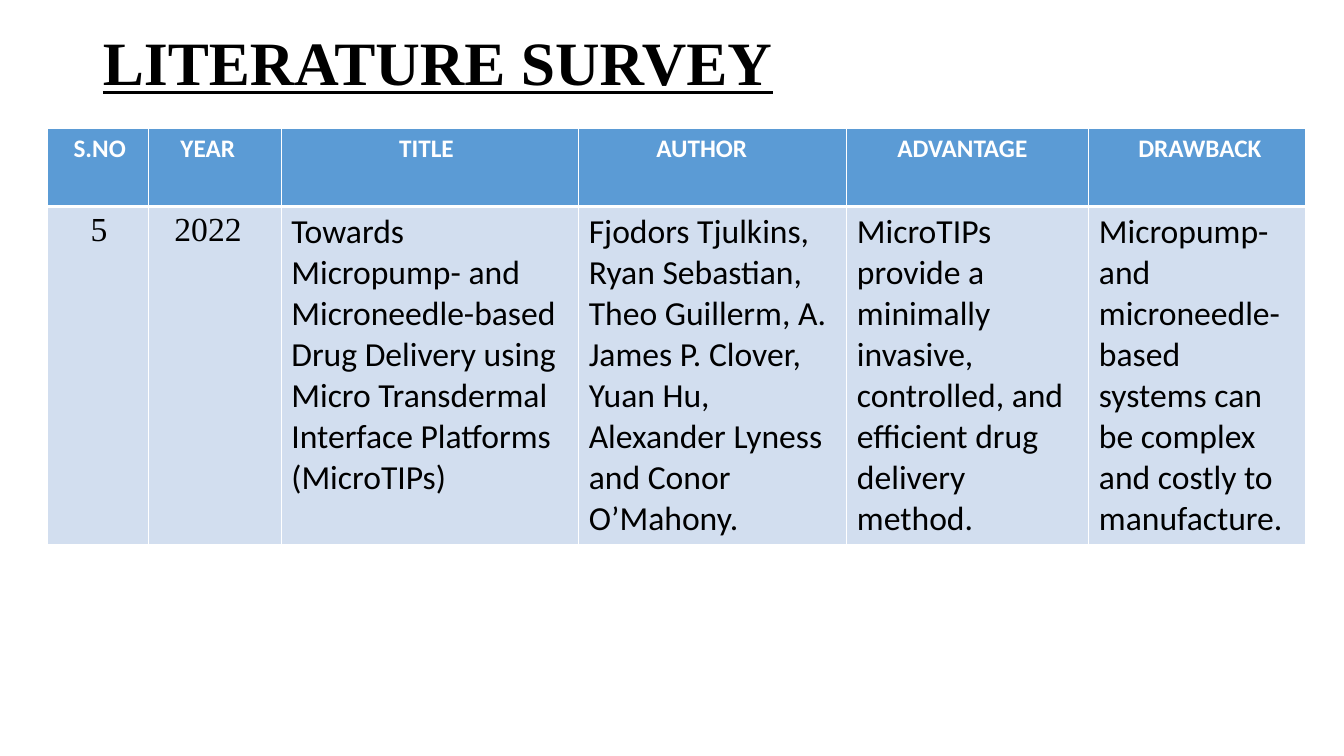
"""Build the literature survey slide: a title above a six-column table."""
from lxml import etree
from pptx import Presentation
from pptx.dml.color import RGBColor
from pptx.enum.text import MSO_ANCHOR, PP_ALIGN
from pptx.oxml.ns import qn
from pptx.util import Inches, Pt

LEFT, MIDDLE = PP_ALIGN.LEFT, MSO_ANCHOR.MIDDLE
HUES = {"ink": "000000", "paper": "FFFFFF", "head": "5B9BD5", "body": "D2DEEF"}
SERIF, SANS = "Times New Roman", "Calibri"
WIDE, HIGH = 13.33, 7.5
COLS = [1, 1.32, 2.95, 2.66, 2.4, 2.15]
ROWS = [0.78, 3.3]
EDGES = [
    {"lnL": 1, "lnR": 1, "lnT": 1, "lnB": 3},
    {"lnL": 1, "lnR": 1, "lnT": 3, "lnB": 1},
]
TEXTS = [
    ["S.NO", "YEAR", "TITLE", "AUTHOR", "ADVANTAGE", "DRAWBACK"],
    [
        "5",
        "2022",
        "Towards Micropump- and Microneedle-based Drug Delivery using "
        "Micro Transdermal Interface Platforms (MicroTIPs)",
        "Fjodors Tjulkins, Ryan Sebastian, Theo Guillerm, A. James P. Clover, "
        "Yuan Hu, Alexander Lyness and Conor O’Mahony.",
        "MicroTIPs provide a minimally invasive, controlled, and efficient "
        "drug delivery method.",
        "Micropump- and microneedle-based systems can be complex and costly "
        "to manufacture.",
    ],
]
INSETS = [
    [0.26, 0.32, 1.17, 0.77, 0.5, 0.49],
    [0.43, 0.26, 0.1, 0.1, 0.1, 0.1],
]
FORMS = [
    {"size": Pt(18), "bold": True, "name": SANS},
    {"size": Pt(24), "bold": False, "name": SANS},
]
FILLS, INKS = ["head", "body"], ["paper", "ink"]


def style(font, form, hue):
    """Apply the format values and a colour to a font."""
    for key, value in form.items():
        setattr(font, key, value)
    font.color.rgb = RGBColor.from_string(HUES[hue])


def edge(cell, sides):
    """Draw the white borders of a cell, widths in points."""
    props = cell._tc.get_or_add_tcPr()
    for side, width in sides.items():
        line = etree.SubElement(props, qn("a:" + side), w=str(Pt(width)))
        fill = etree.SubElement(line, qn("a:solidFill"))
        etree.SubElement(fill, qn("a:srgbClr"), val=HUES["paper"])


deck = Presentation()
deck.slide_width, deck.slide_height = Inches(WIDE), Inches(HIGH)
slide = deck.slides.add_slide(deck.slide_layouts[5])

title = slide.shapes.title
spot = {"left": 0.92, "top": 0.23, "width": 11.5, "height": 0.85}
for key, value in spot.items():
    setattr(title, key, Inches(value))
frame = title.text_frame
frame.text = "LITERATURE SURVEY"
frame.vertical_anchor = MIDDLE
para = frame.paragraphs[0]
para.alignment, para.line_spacing = LEFT, 0.9
bold = {"size": Pt(44), "bold": True, "underline": True, "name": SERIF}
style(para.runs[0].font, bold, "ink")

box = [Inches(n) for n in (0.47, 1.27, sum(COLS), sum(ROWS))]
table = slide.shapes.add_table(len(ROWS), len(COLS), *box).table
for col, width in zip(table.columns, COLS):
    col.width = Inches(width)
for r, height in enumerate(ROWS):
    table.rows[r].height = Inches(height)
    for c, text in enumerate(TEXTS[r]):
        cell = table.cell(r, c)
        edge(cell, EDGES[r])
        cell.fill.solid()
        cell.fill.fore_color.rgb = RGBColor.from_string(HUES[FILLS[r]])
        cell.margin_left = Inches(INSETS[r][c])
        cell.text = text
        font = cell.text_frame.paragraphs[0].runs[0].font
        style(font, FORMS[r], INKS[r])
        if r == 1 and c < 2:
            font.name = SERIF

deck.save("out.pptx")
